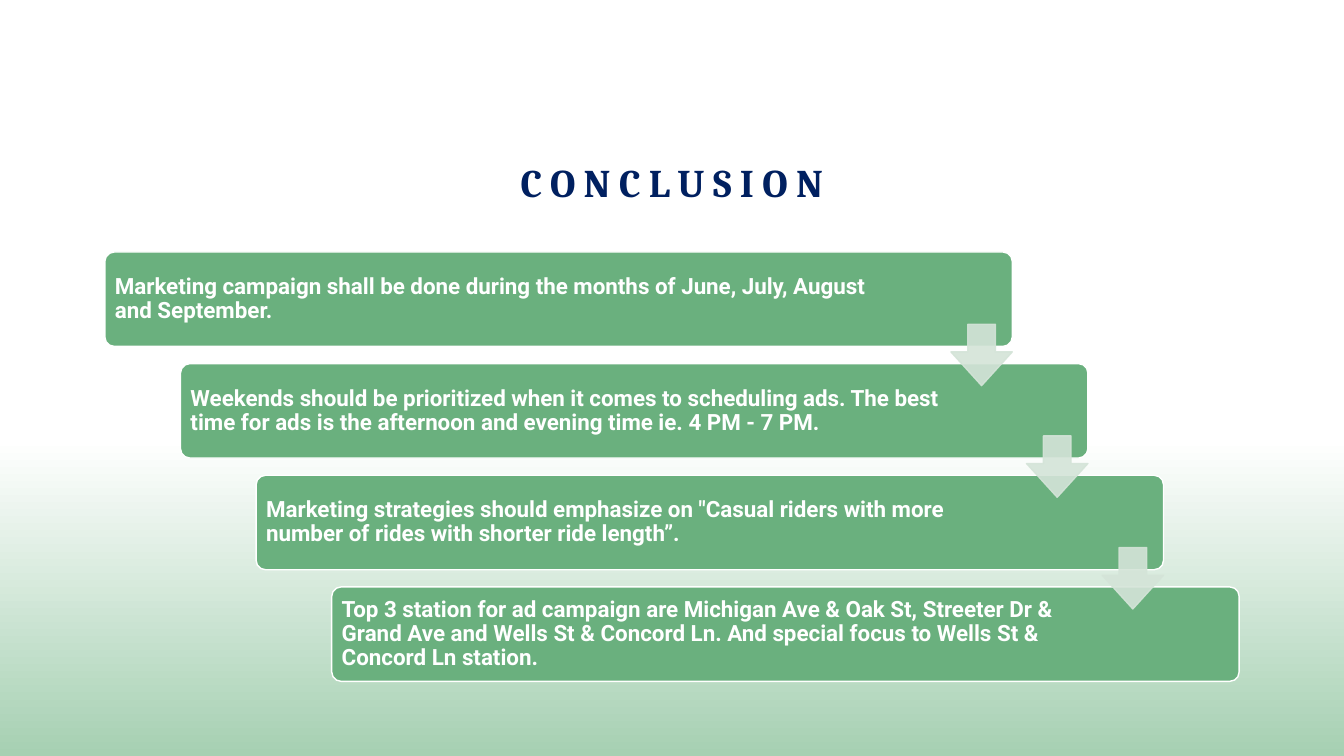
from pptx import Presentation
from pptx.dml.color import RGBColor
from pptx.enum.shapes import MSO_SHAPE as Shape
from pptx.enum.text import MSO_ANCHOR as Anchor, PP_ALIGN as Align
from pptx.oxml.ns import qn
from pptx.util import Inches, Pt
from lxml.etree import SubElement

WIDTH, HEIGHT = 13.33, 7.5
WHITE = RGBColor(0xFF, 0xFF, 0xFF)
NAVY = RGBColor(0x00, 0x20, 0x60)
GREEN = RGBColor(0x6A, 0xB0, 0x7E)
MINT = RGBColor(0xA6, 0xD0, 0xB2)
PALE = RGBColor(0xD4, 0xE4, 0xD8)

TITLE_FONT = {"name": "Cambria", "size": Pt(28), "bold": True}
STEP_FONT = {"name": "Roboto", "size": Pt(16), "bold": True}

CONCLUSIONS = [
    "Marketing campaign shall be done during the months of June, July, August and September.",
    "Weekends should be prioritized when it comes to scheduling ads. The best time for ads "
    "is the afternoon and evening time ie. 4 PM - 7 PM.",
    "Marketing strategies should emphasize on \"Casual riders with more number of rides "
    "with shorter ride length”.",
    "Top 3 station for ad campaign are Michigan Ave & Oak St, Streeter Dr & Grand Ave and "
    "Wells St & Concord Ln. And special focus to Wells St & Concord Ln station.",
]


def add_preset(slide, kind, box, adjustments=()):
    shape = slide.shapes.add_shape(kind, *map(Inches, box))
    shape.shadow.inherit = False
    for index, value in enumerate(adjustments):
        shape.adjustments[index] = value
    return shape


def paint(shape, fill_color, line_color, opacity=100):
    shape.fill.solid()
    shape.fill.fore_color.rgb = fill_color
    shape.line.color.rgb = line_color
    shape.line.width = Pt(1)
    if opacity < 100:
        for color in shape._element.spPr.iter(qn("a:srgbClr")):
            SubElement(color, qn("a:alpha"), val=str(opacity * 1000))


def add_text(slide, box, text, font, color, frame_format, paragraph_format):
    """Add a wrapped one-paragraph text box and return its run."""
    frame = slide.shapes.add_textbox(*map(Inches, box)).text_frame
    frame.word_wrap = True
    paragraph = frame.paragraphs[0]
    run = paragraph.add_run()
    run.text = text
    run.font.color.rgb = color
    for target, values in ((frame, frame_format), (paragraph, paragraph_format), (run.font, font)):
        for name, value in values.items():
            setattr(target, name, value)
    return run


def add_backdrop(slide, box):
    """Fade from white to mint down the lower part of the slide."""
    backdrop = add_preset(slide, Shape.RECTANGLE, box)
    backdrop.line.fill.background()
    backdrop.fill.gradient()
    backdrop.fill.gradient_angle = 270
    stops = backdrop.fill.gradient_stops
    for stop, color, position in zip(stops, (WHITE, MINT), (0.14, 1)):
        stop.color.rgb = color
        stop.position = position


def add_title(slide, box):
    run = add_text(slide, box, "CONCLUSION", TITLE_FONT, NAVY,
                   {"vertical_anchor": Anchor.BOTTOM},
                   {"alignment": Align.CENTER, "line_spacing": 1.2})
    run.font._element.set("spc", "600")


def add_staircase(slide, box, texts):
    """Place one bar per text, stepping down to the right, joined by arrows."""
    left, top, width, height = box
    bar_width, bar_height = width * 0.8, height * 0.22
    step_x = (width - bar_width) / (len(texts) - 1)
    step_y = (height - bar_height) / (len(texts) - 1)
    arrow = bar_height * 0.65
    pad = 0.03
    margins = {f"margin_{side}": Inches(0.07) for side in ("left", "top", "right", "bottom")}
    corners = [(left + i * step_x, top + i * step_y) for i in range(len(texts))]

    for i, ((x, y), text) in enumerate(zip(corners, texts)):
        bar = add_preset(slide, Shape.ROUNDED_RECTANGLE, (x, y, bar_width, bar_height), [0.1])
        paint(bar, GREEN, WHITE)
        text_width = bar_width * (0.88 if i == 0 else 0.843)
        add_text(slide, (x + pad, y + pad, text_width, bar_height - 2 * pad), text,
                 STEP_FONT, WHITE, {"vertical_anchor": Anchor.MIDDLE, **margins},
                 {"line_spacing": 0.9})

    for x, y in corners[:-1]:
        arrow_box = (x + bar_width - arrow, y + bar_height * 0.765, arrow, arrow)
        paint(add_preset(slide, Shape.DOWN_ARROW, arrow_box, [0.45, 0.55]), PALE, PALE, 90)


def fix_arrow_heads(slide):
    """Give every arrow a shaft of 55% width and a head of 45% height."""
    for shape in slide.shapes:
        if len(getattr(shape, "adjustments", ())) == 2:
            shape.adjustments[0], shape.adjustments[1] = 0.45, 0.55


def main():
    presentation = Presentation()
    presentation.slide_width, presentation.slide_height = Inches(WIDTH), Inches(HEIGHT)
    slide = presentation.slides.add_slide(presentation.slide_layouts[6])
    margin = WIDTH * 0.078
    content_width = WIDTH - 2 * margin
    add_backdrop(slide, (0, 3.84, WIDTH, HEIGHT - 3.84))
    add_title(slide, (margin, 0.83, content_width, 1.26))
    add_staircase(slide, (margin, 2.5, content_width, 4.26), CONCLUSIONS)
    presentation.save("out.pptx")


if __name__ == "__main__":
    main()
